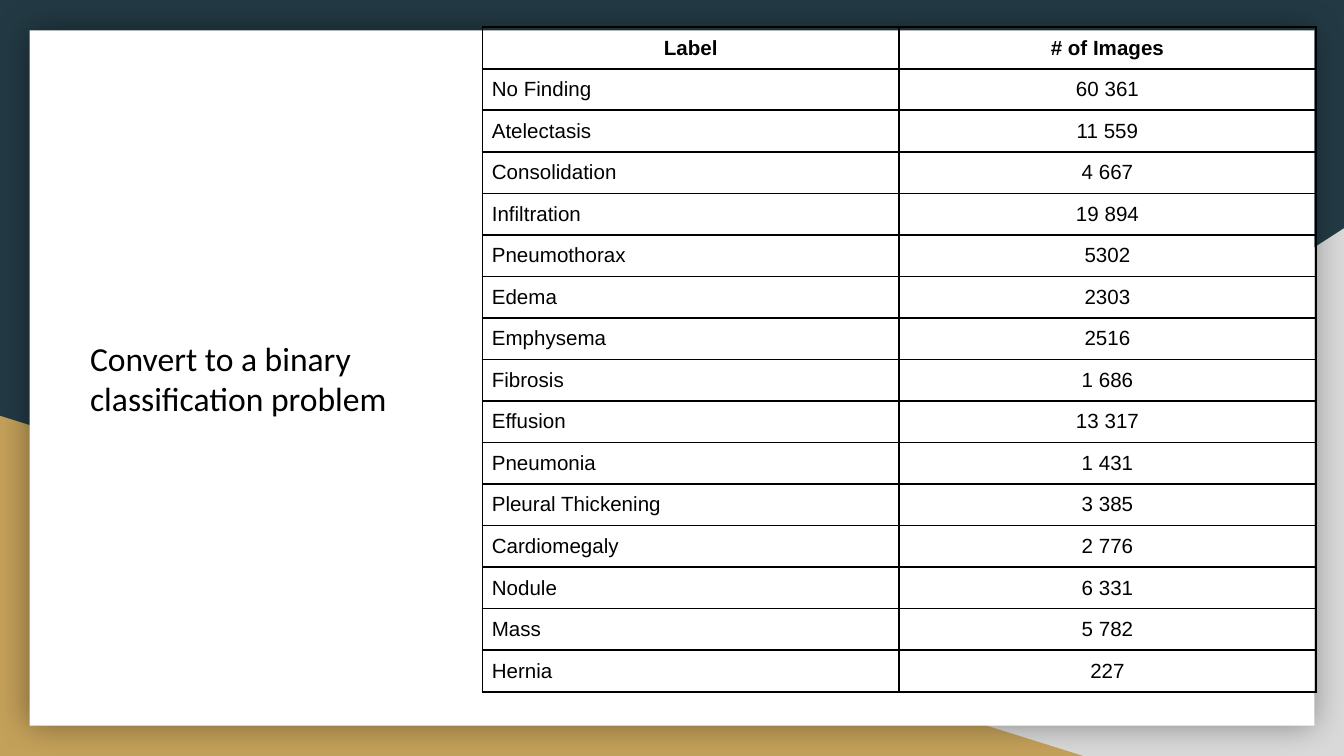
from dataclasses import dataclass

from lxml import etree
from pptx import Presentation
from pptx import util as u
from pptx.dml.color import RGBColor
from pptx.enum import shapes, text
from pptx.oxml import parse_xml
from pptx.oxml.ns import nsdecls, qn


@dataclass(frozen=True)
class Theme:
    backdrop: str = "233A44"
    grey: str = "D9D9D9"
    gold: str = "C4A15A"
    card: str = "FFFFFF"
    ink: str = "000000"
    title_font: str = "Calibri"
    title_size: float = 18
    table_font: str = "Arial"
    table_size: float = 11
    cell_inset: float = 5
    border: float = 1


class SlideBuilder:
    """Draws themed elements on a slide, placed by percent of its width and height."""

    def __init__(self, deck, theme):
        self.deck = deck
        self.theme = theme
        self.page = deck.slides.add_slide(deck.slide_layouts[5])
        fill = self.page.background.fill
        fill.solid()
        fill.fore_color.rgb = RGBColor.from_string(theme.backdrop)

    def frame(self, left, top, width, height):
        across, down = self.deck.slide_width / 100, self.deck.slide_height / 100
        return int(left * across), int(top * down), int(width * across), int(height * down)

    def format_text(self, para, font, size, align, bold=False):
        para.alignment = align
        for span in para.runs:
            span.font.name = font
            span.font.size = u.Pt(size)
            span.font.bold = bold
            span.font.color.rgb = RGBColor.from_string(self.theme.ink)

    def panel(self, kind, place, color, flipped=False):
        box = self.page.shapes.add_shape(kind, *self.frame(*place))
        box.shadow.inherit = False
        box.fill.solid()
        box.fill.fore_color.rgb = RGBColor.from_string(color)
        box.line.fill.background()
        if flipped:
            box.element.spPr.get_or_add_xfrm().set("flipH", "1")
        return box

    def card(self, place):
        box = self.panel(shapes.MSO_SHAPE.RECTANGLE, place, self.theme.card)
        effects = box.element.spPr.find(qn("a:effectLst"))
        glow = etree.SubElement(effects, qn("a:outerShdw"), blurRad=str(u.Pt(18)),
                                dist="0", dir="0", algn="ctr", rotWithShape="0")
        color = etree.SubElement(glow, qn("a:srgbClr"), val=self.theme.ink)
        etree.SubElement(color, qn("a:alpha"), val="40000")

    def title(self, words, place):
        box = self.page.shapes.title
        box.left, box.top, box.width, box.height = self.frame(*place)
        self.page.shapes.element.append(box.element)
        body = box.text_frame
        body.text = words
        body.word_wrap = True
        body.auto_size = text.MSO_AUTO_SIZE.SHAPE_TO_FIT_TEXT
        body.vertical_anchor = text.MSO_ANCHOR.TOP
        body.margin_left = body.margin_right = u.Inches(0.1)
        body.margin_top = body.margin_bottom = u.Inches(0.1)
        self.format_text(body.paragraphs[0], self.theme.title_font,
                         self.theme.title_size, text.PP_ALIGN.LEFT)

    def outline(self, cell):
        properties = cell._tc.get_or_add_tcPr()
        for side in ("lnL", "lnR", "lnT", "lnB"):
            properties.append(parse_xml(
                f'<a:{side} {nsdecls("a")} w="{u.Pt(self.theme.border)}"><a:solidFill>'
                f'<a:srgbClr val="{self.theme.ink}"/></a:solidFill></a:{side}>'))

    def table(self, rows, place):
        grid = self.page.shapes.add_table(len(rows), len(rows[0]), *self.frame(*place)).table
        grid.first_row = grid.horz_banding = False
        inset = u.Pt(self.theme.cell_inset)
        for r, row in enumerate(rows):
            for c, words in enumerate(row):
                cell = grid.cell(r, c)
                self.outline(cell)
                cell.fill.background()
                cell.margin_left = cell.margin_right = inset
                cell.margin_top = cell.margin_bottom = inset
                cell.text_frame.text = words
                centred = r == 0 or c > 0
                self.format_text(cell.text_frame.paragraphs[0], self.theme.table_font,
                                 self.theme.table_size,
                                 text.PP_ALIGN.CENTER if centred else text.PP_ALIGN.LEFT,
                                 bold=r == 0)


IMAGE_COUNTS = [
    ("Label", "# of Images"),
    ("No Finding", "60 361"),
    ("Atelectasis", "11 559"),
    ("Consolidation", "4 667"),
    ("Infiltration", "19 894"),
    ("Pneumothorax", "5302"),
    ("Edema", "2303"),
    ("Emphysema", "2516"),
    ("Fibrosis", "1 686"),
    ("Effusion", "13 317"),
    ("Pneumonia", "1 431"),
    ("Pleural Thickening", "3 385"),
    ("Cardiomegaly", "2 776"),
    ("Nodule", "6 331"),
    ("Mass", "5 782"),
    ("Hernia", "227"),
]


def main():
    theme = Theme()
    deck = Presentation()
    deck.slide_width, deck.slide_height = u.Pt(720), u.Pt(405)
    slide = SlideBuilder(deck, theme)
    triangle = shapes.MSO_SHAPE.RIGHT_TRIANGLE
    slide.panel(triangle, (39.2, 30.2, 60.8, 69.8), theme.grey, flipped=True)
    slide.panel(triangle, (0, 55, 80.6, 45), theme.gold)
    slide.card((2.2, 4, 95.6, 92))
    slide.table(IMAGE_COUNTS, (35.9, 3.6, 62, 68.3))
    slide.title("Convert to a binary classification problem", (5.7, 42.9, 25.1, 14.4))
    deck.save("out.pptx")


if __name__ == "__main__":
    main()
